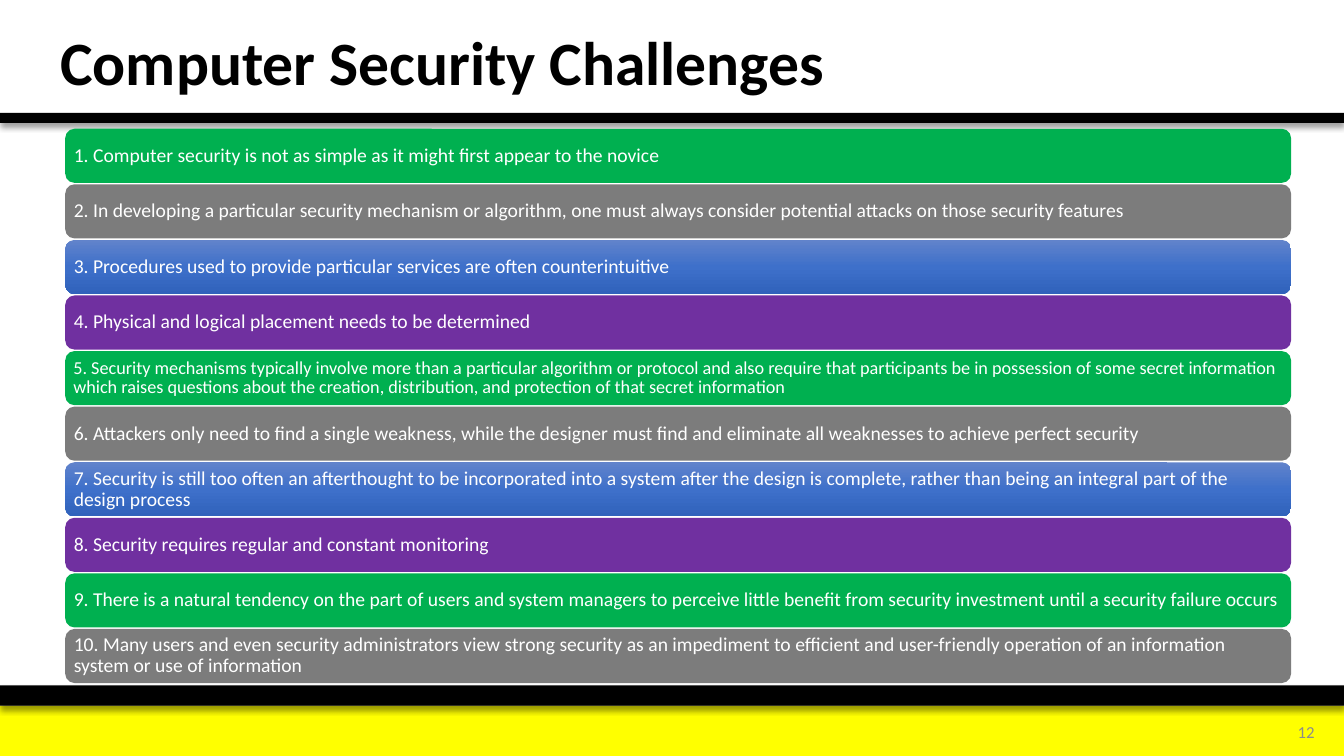
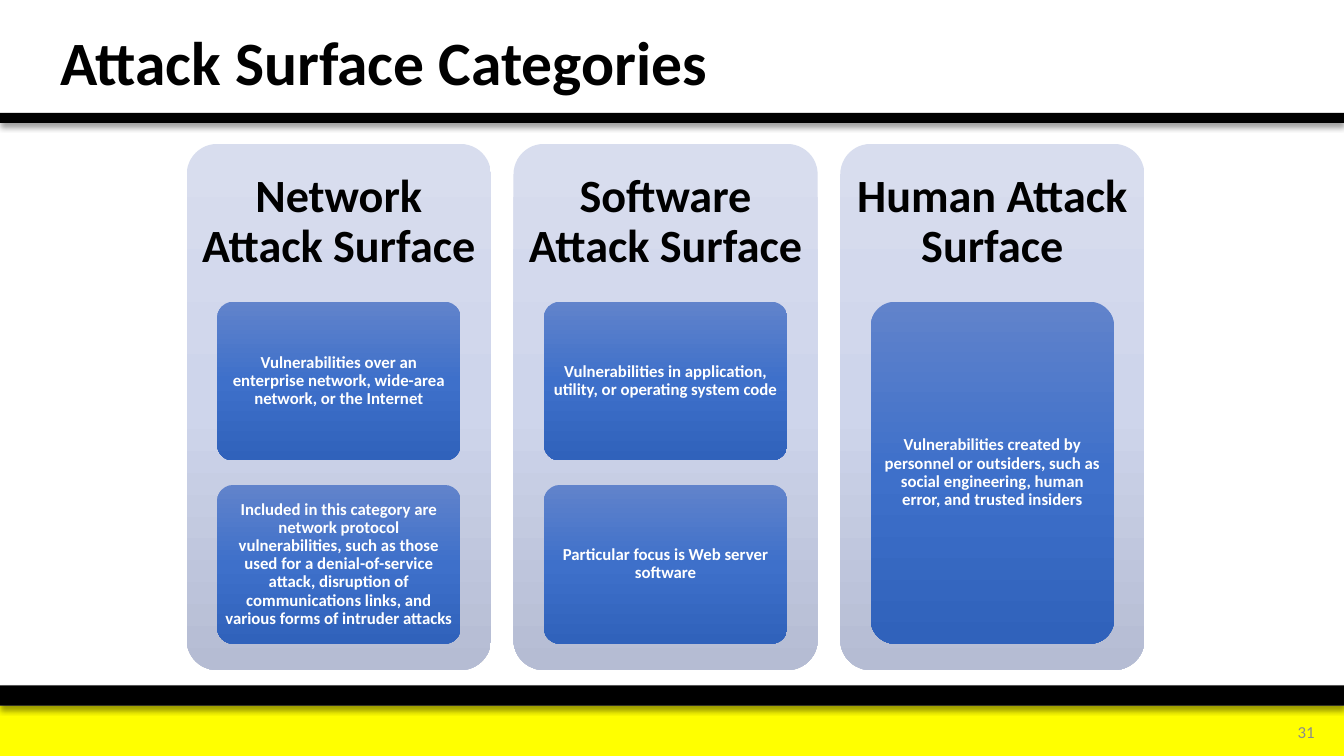
from dataclasses import dataclass
from itertools import cycle

from lxml import etree
from pptx import Presentation
from pptx import util as u
from pptx.dml import color
from pptx.enum import shapes, text
from pptx.oxml import ns


@dataclass(frozen=True)
class Theme:
    font: str = "Calibri"
    black: str = "000000"
    white: str = "FFFFFF"
    yellow: str = "FFFF00"
    number_gray: str = "8C8C8C"
    green: str = "00B050"
    gray: str = "7C7C7C"
    purple: str = "7030A0"
    blue: tuple = ("6183CB", "3E70CA", "3062BB")
    pale_blue: tuple = ("D8DDEE", "CED5EB", "B5BCD3")
    title_size: float = 44
    heading_size: float = 33
    row_size: float = 14
    dense_row_size: float = 13
    small_size: float = 12


THEME = Theme()
WIDTH, HEIGHT = 960, 540

CHALLENGES = [
    "Computer security is not as simple as it might first appear to the novice",
    "In developing a particular security mechanism or algorithm, one must always consider "
    "potential attacks on those security features",
    "Procedures used to provide particular services are often counterintuitive",
    "Physical and logical placement needs to be determined",
    "Security mechanisms typically involve more than a particular algorithm or protocol and "
    "also require that participants be in possession of some secret information which raises "
    "questions about the creation, distribution, and protection of that secret information",
    "Attackers only need to find a single weakness, while the designer must find and "
    "eliminate all weaknesses to achieve perfect security",
    "Security is still too often an afterthought to be incorporated into a system after the "
    "design is complete, rather than being an integral part of the design process",
    "Security requires regular and constant monitoring",
    "There is a natural tendency on the part of users and system managers to perceive little "
    "benefit from security investment until a security failure occurs",
    "Many users and even security administrators view strong security as an impediment to "
    "efficient and user-friendly operation of an information system or use of information",
]
DENSE_ROW = 5

CATEGORIES = {
    "Network Attack Surface": [
        "Vulnerabilities over an enterprise network, wide-area network, or the Internet",
        "Included in this category are network protocol vulnerabilities, such as those used "
        "for a denial-of-service attack, disruption of communications links, and various "
        "forms of intruder attacks",
    ],
    "Software Attack Surface": [
        "Vulnerabilities in application, utility, or operating system code",
        "Particular focus is Web server software",
    ],
    "Human Attack Surface": [
        "Vulnerabilities created by personnel or outsiders, such as social engineering, "
        "human error, and trusted insiders",
    ],
}


def set_all(target, values):
    for name, value in values.items():
        setattr(target, name, value)


def points(*lengths):
    return [u.Pt(length) for length in lengths]


def paint(shape, fill):
    if isinstance(fill, str):
        shape.fill.solid()
        shape.fill.fore_color.rgb = color.RGBColor.from_string(fill)
        return
    shape.fill.gradient()
    shape.fill.gradient_angle = 270
    stops = next(shape._element.spPr.iter(ns.qn("a:gsLst")))
    stops.clear()
    for index, value in enumerate(fill):
        position = index * 100000 // (len(fill) - 1)
        stop = etree.SubElement(stops, ns.qn("a:gs"), pos=str(position))
        etree.SubElement(stop, ns.qn("a:srgbClr"), val=value)


def add_panel(slide, box, fill, corner=None):
    kind = shapes.MSO_SHAPE.RECTANGLE if corner is None else shapes.MSO_SHAPE.ROUNDED_RECTANGLE
    shape = slide.shapes.add_shape(kind, *points(*box))
    if corner is not None:
        shape.adjustments[0] = corner
    paint(shape, fill)
    shape.line.fill.background()
    shape.shadow.inherit = False
    return shape


def add_shadow(shape):
    effects = shape._element.spPr.find(ns.qn("a:effectLst"))
    shadow = etree.SubElement(
        effects, ns.qn("a:outerShdw"), blurRad=str(u.Pt(4)), dist=str(u.Pt(3)),
        dir="5400000", algn="t", rotWithShape="0")
    shade = etree.SubElement(shadow, ns.qn("a:srgbClr"), val=THEME.black)
    etree.SubElement(shade, ns.qn("a:alpha"), val="40000")


def write(shape, words, size, ink, bold=False, align="LEFT", inset=7.2, spacing=0.9):
    frame = shape.text_frame
    set_all(frame, {
        "word_wrap": True,
        "vertical_anchor": text.MSO_ANCHOR.MIDDLE,
        "margin_left": u.Pt(inset),
        "margin_right": u.Pt(inset),
        "margin_top": 0,
        "margin_bottom": 0,
    })
    paragraph = frame.paragraphs[0]
    set_all(paragraph, {"alignment": text.PP_ALIGN[align], "line_spacing": spacing})
    run = paragraph.add_run()
    run.text = words
    set_all(run.font, {"name": THEME.font, "size": u.Pt(size), "bold": bold})
    run.font.color.rgb = color.RGBColor.from_string(ink)


def add_label(slide, box, words, size, ink, **style):
    write(slide.shapes.add_textbox(*points(*box)), words, size, ink, **style)


def add_framed_slide(presentation, title, number):
    slide = presentation.slides.add_slide(presentation.slide_layouts[6])
    add_panel(slide, (0, 504, WIDTH, 36), THEME.yellow)
    for top, height in ((489.6, 14.4), (80.6, 7.2)):
        add_shadow(add_panel(slide, (0, top, WIDTH, height), THEME.black))
    add_label(slide, (36, 6.5, 697, 80.6), title, THEME.title_size, THEME.black, bold=True)
    add_label(slide, (891.4, 508.4, 54.7, 28.8), str(number), THEME.small_size,
              THEME.number_gray, align="RIGHT", spacing=1.0)
    return slide


def add_challenge_rows(slide):
    left, top, width, height, pitch = 46.6, 92, 875.6, 38.6, 39.7
    fills = cycle((THEME.green, THEME.gray, THEME.blue, THEME.purple))
    for index, (challenge, fill) in enumerate(zip(CHALLENGES, fills)):
        number = index + 1
        size = THEME.dense_row_size if number == DENSE_ROW else THEME.row_size
        row = add_panel(slide, (left, top + index * pitch, width, height), fill, corner=0.17)
        write(row, f"{number}. {challenge}", size, THEME.white, inset=size * 0.3)


def add_category_card(slide, left, heading, details):
    top, width, height = 102.8, 217.3, 375.8
    add_panel(slide, (left, top, width, height), THEME.pale_blue, corner=0.1)
    add_label(slide, (left, top, width, height * 0.3), heading, THEME.heading_size,
              THEME.black, bold=True, align="CENTER", inset=9.8)
    gap = 17.5
    detail_height = (height * 0.65 - gap * (len(details) - 1)) / len(details)
    for index, detail in enumerate(details):
        detail_top = top + height * 0.3 + index * (detail_height + gap)
        box = (left + width * 0.1, detail_top, width * 0.8, detail_height)
        write(add_panel(slide, box, THEME.blue, corner=0.1), detail, THEME.small_size,
              THEME.white, bold=True, align="CENTER", inset=2.2)


def main():
    presentation = Presentation()
    set_all(presentation, {"slide_width": u.Pt(WIDTH), "slide_height": u.Pt(HEIGHT)})

    add_challenge_rows(add_framed_slide(presentation, "Computer Security Challenges", 12))

    categories = add_framed_slide(presentation, "Attack Surface Categories", 31)
    for index, (heading, details) in enumerate(CATEGORIES.items()):
        add_category_card(categories, 133.4 + index * 233.4, heading, details)

    presentation.save("out.pptx")


if __name__ == "__main__":
    main()
